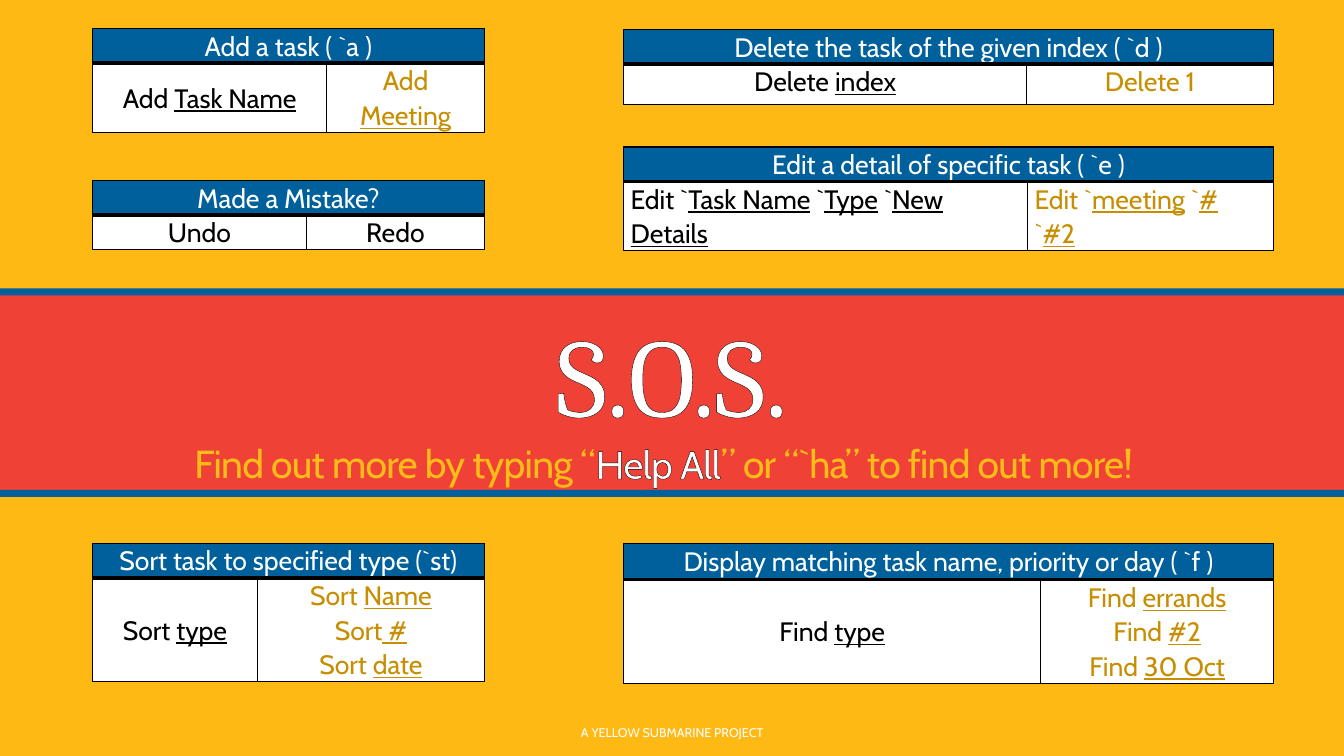
import pptx
import pptx.dml.color
import pptx.enum.shapes
import pptx.enum.text
import pptx.oxml
import pptx.oxml.ns
import pptx.util

Pt = pptx.util.Pt
RGBColor = pptx.dml.color.RGBColor
ALIGN = pptx.enum.text.PP_ALIGN
ANCHOR = pptx.enum.text.MSO_ANCHOR

YELLOW = RGBColor(0xFE, 0xB9, 0x14)
TAGLINE_YELLOW = RGBColor(0xFE, 0xBC, 0x18)
RED = RGBColor(0xEF, 0x41, 0x36)
BLUE = RGBColor(0x00, 0x60, 0x9C)
GOLD = RGBColor(0xC7, 0x8E, 0x01)
WHITE = RGBColor(0xFF, 0xFF, 0xFF)
BLACK = RGBColor(0x00, 0x00, 0x00)

SLIDE_WIDTH = 960
NAMESPACE = pptx.oxml.ns.nsdecls("a")


def add_run(paragraph, text, color, size, name="Cabin", underline=None, outlined=False):
    run = paragraph.add_run()
    run.text = text
    for key, value in {"name": name, "size": Pt(size), "underline": underline}.items():
        setattr(run.font, key, value)
    if outlined:
        properties = run.font._element
        properties.set("spc", "-50")
        properties.insert(0, pptx.oxml.parse_xml(
            f'<a:ln {NAMESPACE} w="9525"><a:solidFill><a:srgbClr val="{BLACK}"/>'
            '</a:solidFill></a:ln>'))
    run.font.color.rgb = color


def format_cell(cell, text, color, fill, alignment, anchor, top_width, bottom_width):
    cell_format = {"margin_left": Pt(5), "margin_right": Pt(5), "margin_top": 0,
                   "margin_bottom": 0, "vertical_anchor": anchor}
    for key, value in cell_format.items():
        setattr(cell, key, value)
    properties = cell._tc.get_or_add_tcPr()
    for side, width in (("L", 1), ("R", 1), ("T", top_width), ("B", bottom_width)):
        properties.append(pptx.oxml.parse_xml(
            f'<a:ln{side} {NAMESPACE} w="{Pt(width)}"><a:solidFill>'
            f'<a:srgbClr val="{BLACK}"/></a:solidFill></a:ln{side}>'))
    cell.fill.solid()
    cell.fill.fore_color.rgb = fill
    # Underscores enclose the underlined parts of each line
    for index, line in enumerate(text.split("\n")):
        frame = cell.text_frame
        paragraph = frame.add_paragraph() if index else frame.paragraphs[0]
        paragraph.alignment = alignment
        paragraph.line_spacing = 1.07
        for part, words in enumerate(line.split("_")):
            if words:
                add_run(paragraph, words, color, 19, underline=part % 2 == 1)


presentation = pptx.Presentation()
presentation.slide_width = Pt(SLIDE_WIDTH)
presentation.slide_height = Pt(540)
slide = presentation.slides.add_slide(presentation.slide_layouts[5])
slide.background.fill.solid()
slide.background.fill.fore_color.rgb = YELLOW

# Red band with blue edges
for top, height, color in ((208, 142.5, RED), (206, 5, BLUE), (350, 5, BLUE)):
    band = slide.shapes.add_shape(pptx.enum.shapes.MSO_SHAPE.RECTANGLE,
                                  0, Pt(top), Pt(SLIDE_WIDTH), Pt(height))
    band.shadow.inherit = False
    band.fill.solid()
    band.fill.fore_color.rgb = color
    band.line.fill.background()

# Title in front of the band, tagline and footer
title = slide.shapes.title
band._element.addnext(title._element)
for key, value in {"left": 114, "top": 213, "width": 732, "height": 105}.items():
    setattr(title, key, Pt(value))
tagline = slide.shapes.add_textbox(Pt(108), Pt(301), Pt(732), Pt(49))
footer = slide.shapes.add_textbox(Pt(290), Pt(508.5), Pt(380), Pt(29))
for shape, anchor, spacing in ((title, ANCHOR.BOTTOM, 0.85),
                               (tagline, ANCHOR.BOTTOM, 0.65),
                               (footer, ANCHOR.MIDDLE, 1.0)):
    frame_format = {"word_wrap": True, "vertical_anchor": anchor,
                    "auto_size": pptx.enum.text.MSO_AUTO_SIZE.NONE}
    for key, value in frame_format.items():
        setattr(shape.text_frame, key, value)
    paragraph = shape.text_frame.paragraphs[0]
    paragraph.alignment = ALIGN.CENTER
    paragraph.line_spacing = spacing

add_run(title.text_frame.paragraphs[0], "S.O.S.", WHITE, 80, "Cambria", outlined=True)
for words, color in (("Find out more by typing “", TAGLINE_YELLOW), ("Help All", WHITE),
                     ("” or “`ha” to find out more!", TAGLINE_YELLOW)):
    add_run(tagline.text_frame.paragraphs[0], words, color, 27.9, outlined=True)
add_run(footer.text_frame.paragraphs[0], "A YELLOW SUBMARINE PROJECT", WHITE, 9)

# Command tables: left, top, column widths, row heights, anchor, alignment,
# heading, command, example, example colour
LEFT, RIGHT = 66, 445.5
commands = [
    (LEFT, 20.5, (167.5, 112.5), (24, 48), ANCHOR.MIDDLE, ALIGN.CENTER,
     "Add a task ( `a )", "Add _Task Name_", "Add\n_Meeting_", GOLD),
    (RIGHT, 21, (288, 176), (24, 29), ANCHOR.TOP, ALIGN.CENTER,
     "Delete the task of the given index ( `d )", "Delete _index_", "Delete 1", GOLD),
    (RIGHT, 105, (288.5, 175.5), (24, 48), ANCHOR.TOP, ALIGN.LEFT,
     "Edit a detail of specific task ( `e )",
     "Edit `_Task Name_ `_Type_ `_New Details_", "Edit `_meeting_ `_#_\n`_#2_", GOLD),
    (RIGHT, 388, (298, 166), (26, 73), ANCHOR.MIDDLE, ALIGN.CENTER,
     "Display matching task name, priority or day ( `f )",
     "Find _type_", "Find _errands_\nFind _#2_\nFind _30 Oct_", GOLD),
    (LEFT, 388, (118, 162), (24, 73), ANCHOR.MIDDLE, ALIGN.CENTER,
     "Sort task to specified type (`st)",
     "Sort _type_", "Sort _Name_\nSort_ #_\nSort _date_", GOLD),
    (LEFT, 129, (153, 127), (24, 24), ANCHOR.TOP, ALIGN.CENTER,
     "Made a Mistake?", "Undo", "Redo", BLACK),
]
for (left, top, widths, heights, anchor, alignment,
     heading, command, example, example_color) in commands:
    table = slide.shapes.add_table(2, 2, Pt(left), Pt(top),
                                   Pt(sum(widths)), Pt(sum(heights))).table
    table.first_row = False
    table.horz_banding = False
    for column, width in zip(table.columns, widths):
        column.width = Pt(width)
    for row, height in zip(table.rows, heights):
        row.height = Pt(height)
    table.cell(0, 0).merge(table.cell(0, 1))
    for column, text in enumerate((heading, "")):
        format_cell(table.cell(0, column), text, WHITE, BLUE, ALIGN.CENTER, anchor, 1, 3)
    for column, (text, color) in enumerate(((command, BLACK), (example, example_color))):
        format_cell(table.cell(1, column), text, color, WHITE, alignment, anchor, 3, 1)

presentation.save("out.pptx")
